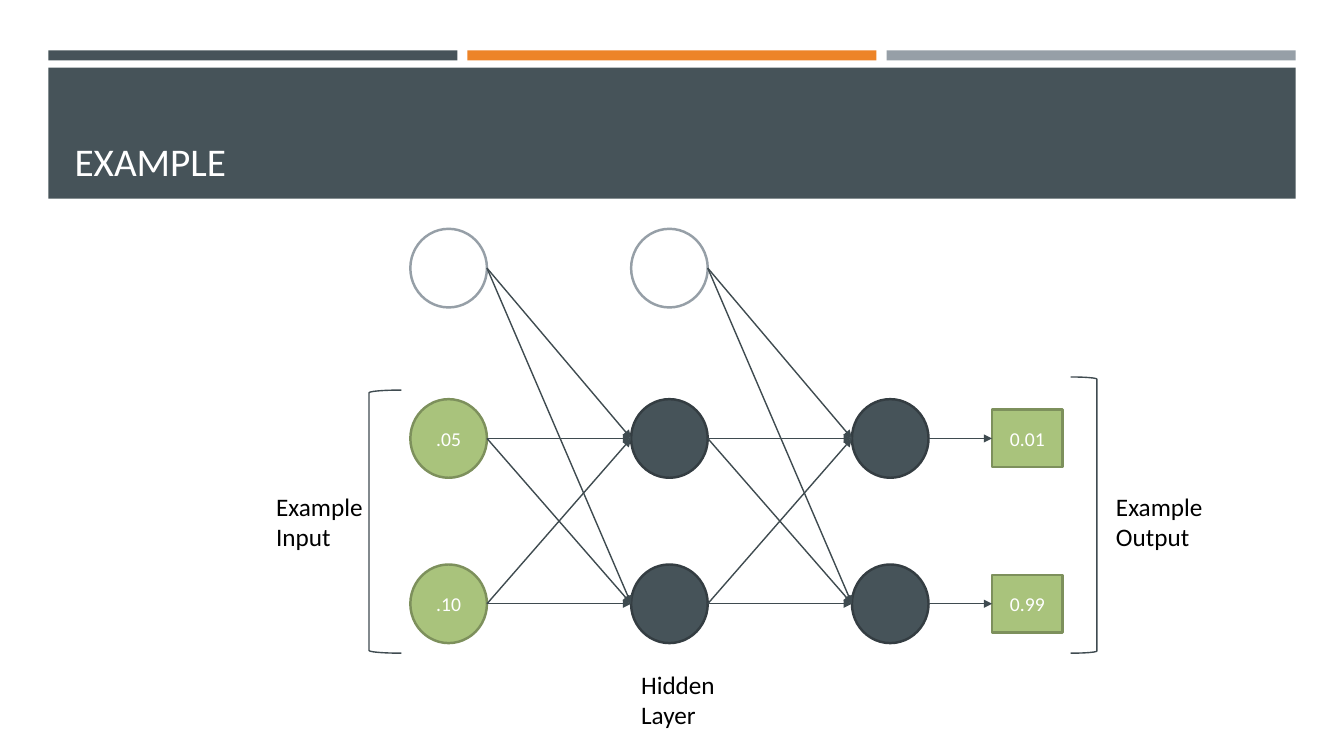
from dataclasses import dataclass
from itertools import product

from lxml import etree
from pptx import Presentation
from pptx.dml.color import RGBColor
from pptx.enum.shapes import MSO_CONNECTOR, MSO_SHAPE
from pptx.enum.text import MSO_ANCHOR, PP_ALIGN
from pptx.oxml.ns import qn
from pptx.util import Inches, Pt

RECTANGLE, OVAL = MSO_SHAPE.RECTANGLE, MSO_SHAPE.OVAL
LEFT_BRACKET, RIGHT_BRACKET = MSO_SHAPE.LEFT_BRACKET, MSO_SHAPE.RIGHT_BRACKET
STRAIGHT = MSO_CONNECTOR.STRAIGHT
LEFT, CENTER = PP_ALIGN.LEFT, PP_ALIGN.CENTER
MIDDLE, BOTTOM = MSO_ANCHOR.MIDDLE, MSO_ANCHOR.BOTTOM


@dataclass(frozen=True)
class Theme:
    font: str = "Calibri"
    title_size: int = 28
    label_size: int = 18
    value_size: int = 14
    outline: float = 1.75
    hairline: float = 1
    slate: str = "465359"
    slate_edge: str = "343D42"
    orange: str = "ED8428"
    gray: str = "969FA7"
    green: str = "A9C37C"
    green_edge: str = "7D905C"
    arrow: str = "3F4B50"
    white: str = "FFFFFF"
    black: str = "000000"


@dataclass(frozen=True)
class Box:
    left: float
    top: float
    width: float
    height: float

    @property
    def right(self):
        return self.left + self.width

    @property
    def middle(self):
        return self.top + self.height / 2

    def inches(self):
        return [Inches(value) for value in (self.left, self.top, self.width, self.height)]


THEME = Theme()
BIAS = (THEME.white, THEME.gray)
NEURON = (THEME.slate, THEME.slate_edge)
VALUE = (THEME.green, THEME.green_edge)


def write(shape, text, size, color, alignment, anchor):
    frame = shape.text_frame
    frame.word_wrap = True
    frame.vertical_anchor = anchor
    frame.text = text
    paragraph = frame.paragraphs[0]
    paragraph.alignment = alignment
    paragraph.font.name = THEME.font
    paragraph.font.size = Pt(size)
    paragraph.font.color.rgb = RGBColor.from_string(color)


def add_shape(slide, kind, box, fill=None, line=None, weight=THEME.outline):
    shape = slide.shapes.add_shape(kind, *box.inches())
    shape.shadow.inherit = False
    if fill:
        shape.fill.solid()
        shape.fill.fore_color.rgb = RGBColor.from_string(fill)
    else:
        shape.fill.background()
    if line:
        shape.line.color.rgb = RGBColor.from_string(line)
        shape.line.width = Pt(weight)
    else:
        shape.line.fill.background()
    return shape


def add_node(slide, kind, box, colors, text=""):
    shape = add_shape(slide, kind, box, *colors)
    if text:
        write(shape, text, THEME.value_size, THEME.white, CENTER, MIDDLE)
    return box


def add_arrow(slide, source, target):
    """Join the right side of one box to the left side of another."""
    ends = (source.right, source.middle, target.left, target.middle)
    connector = slide.shapes.add_connector(STRAIGHT, *map(Inches, ends))
    connector.line.color.rgb = RGBColor.from_string(THEME.arrow)
    connector.line.width = Pt(THEME.hairline)
    line = connector.line._get_or_add_ln()
    etree.SubElement(line, qn("a:tailEnd"), type="triangle")
    etree.SubElement(connector._element.spPr, qn("a:effectLst"))


def add_label(slide, text, left, top):
    label = slide.shapes.add_textbox(*Box(left, top, 1.18, 0.71).inches())
    write(label, text, THEME.label_size, THEME.black, LEFT, MSO_ANCHOR.TOP)


def add_header(slide, box, title):
    gap, stripe_height, band_offset = 0.1, 0.1, 0.17
    stripe_width = (box.width - 2 * gap) / 3
    for column, color in enumerate((THEME.slate, THEME.orange, THEME.gray)):
        left = box.left + column * (stripe_width + gap)
        add_shape(slide, RECTANGLE, Box(left, box.top, stripe_width, stripe_height), color)
    band = Box(box.left, box.top + band_offset, box.width, box.height - band_offset)
    add_shape(slide, RECTANGLE, band, THEME.slate)

    placeholder = slide.shapes.title
    title_box = Box(band.left + 0.16, band.top + 0.1, band.width - 0.31, band.height - 0.19)
    placeholder.left, placeholder.top, placeholder.width, placeholder.height = title_box.inches()
    write(placeholder, title, THEME.title_size, THEME.white, LEFT, BOTTOM)
    # The band is drawn later than the placeholder, so bring the title forward.
    slide.shapes._spTree.append(placeholder._element)


def add_network(slide, box):
    """Draw bias, input, hidden and output nodes on a grid, then join the layers."""
    node_width, node_height = 0.76, 0.78
    target_width, target_height = 0.7, 0.57
    column_pitch = 2.19
    rows = [box.top + offset for offset in (0, 1.69, 3.33)]

    def circle(column, row, colors, text=""):
        left = box.left + column * column_pitch
        node = Box(left, rows[row], node_width, node_height)
        return add_node(slide, OVAL, node, colors, text)

    biases = [circle(column, 0, BIAS) for column in (0, 1)]
    inputs = [circle(0, row, VALUE, text) for row, text in ((1, ".05"), (2, ".10"))]
    hidden, outputs = [[circle(column, row, NEURON) for row in (1, 2)] for column in (1, 2)]
    targets = []
    for output, text in zip(outputs, ("0.01", "0.99")):
        target = Box(box.right - target_width, output.middle - target_height / 2,
                     target_width, target_height)
        targets.append(add_node(slide, RECTANGLE, target, VALUE, text))

    edges = [*product([biases[0], *inputs], hidden),
             *product([biases[1], *hidden], outputs),
             *zip(outputs, targets)]
    for source, target in edges:
        add_arrow(slide, source, target)


def add_annotations(slide, box):
    """Place brackets and labels around the network's box."""
    bottom = box.top + box.height + 0.1
    brackets = ((LEFT_BRACKET, box.left - 0.41, 0.32, 2.61),
                (RIGHT_BRACKET, box.right + 0.08, 0.26, 2.74))
    for kind, left, width, height in brackets:
        bracket = Box(left, bottom - height, width, height)
        add_shape(slide, kind, bracket, line=THEME.arrow, weight=THEME.hairline)
    side_top = box.top + 2.55
    add_label(slide, "Example Input", box.left - 1.43, side_top)
    add_label(slide, "Example Output", box.right + 0.43, side_top)
    add_label(slide, "Hidden Layer", box.left + 2.19, bottom + 0.11)


def main():
    presentation = Presentation()
    presentation.slide_width = Inches(13.33)
    presentation.slide_height = Inches(7.5)
    slide = presentation.slides.add_slide(presentation.slide_layouts.get_by_name("Title Only"))
    add_header(slide, Box(0.48, 0.5, 12.37, 1.47), "EXAMPLE")
    network = Box(4.07, 2.27, 6.47, 4.11)
    add_network(slide, network)
    add_annotations(slide, network)
    presentation.save("out.pptx")


if __name__ == "__main__":
    main()
